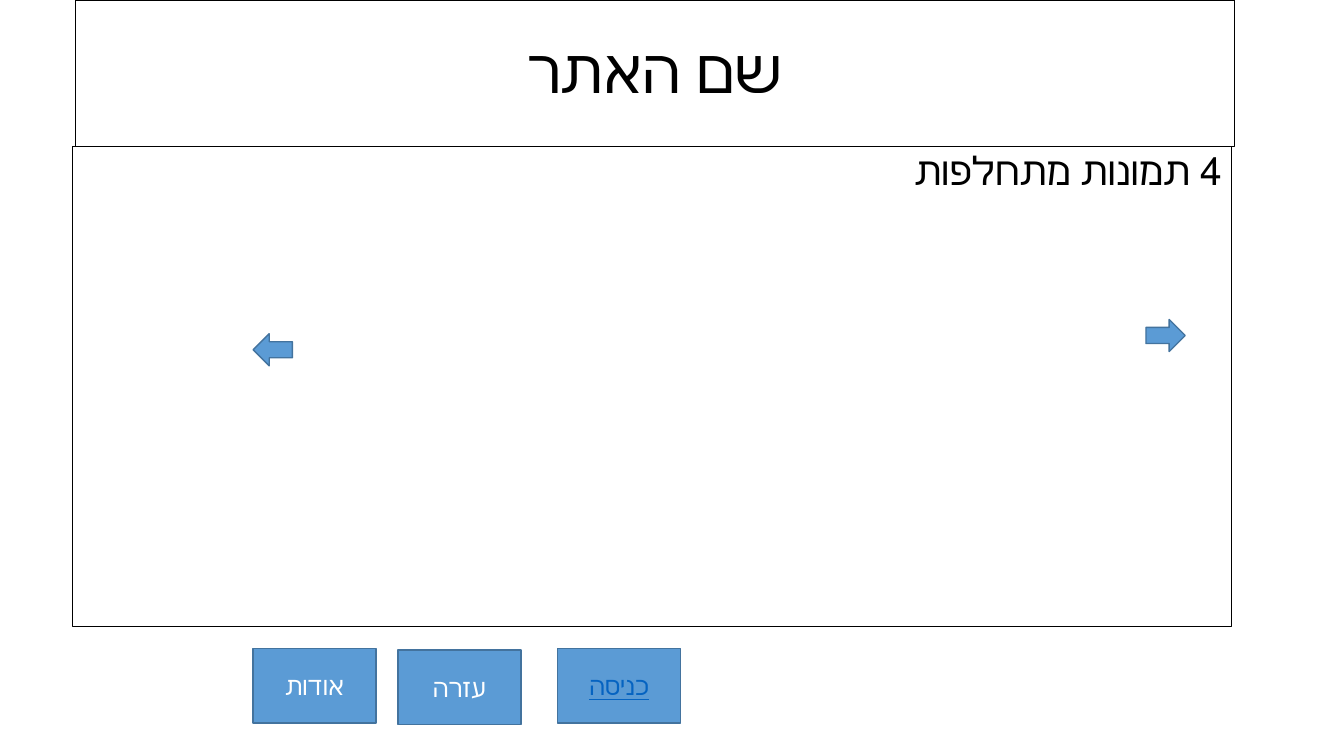
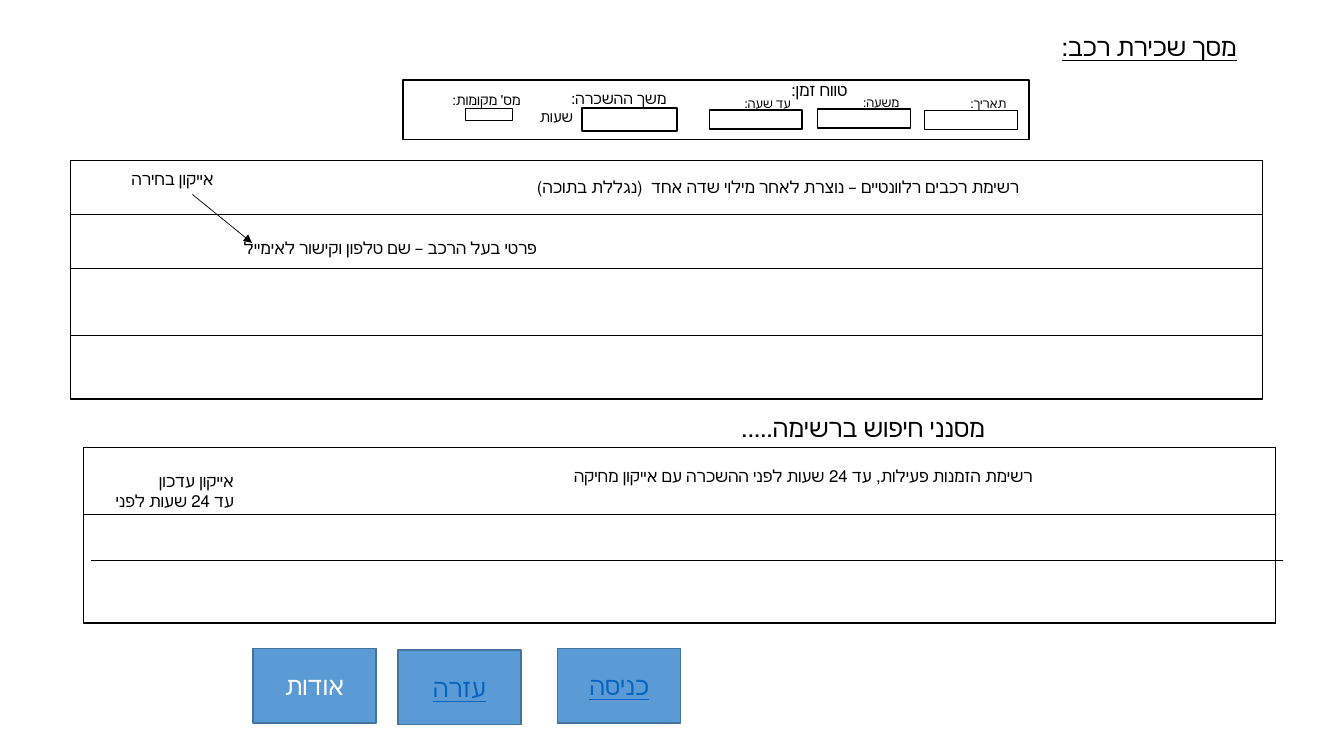
from lxml.etree import SubElement
from pptx import Presentation
from pptx.dml.color import RGBColor
from pptx.enum.shapes import MSO_CONNECTOR as Connector, MSO_SHAPE as Shape
from pptx.enum.text import MSO_ANCHOR as Anchor, MSO_AUTO_SIZE as AutoSize, PP_ALIGN as Align
from pptx.oxml.ns import qn
from pptx.util import Cm, Pt

BLACK = RGBColor(0x00, 0x00, 0x00)
WHITE = RGBColor(0xFF, 0xFF, 0xFF)
BLUE = RGBColor(0x5B, 0x9B, 0xD5)
DARK_BLUE = RGBColor(0x43, 0x73, 0x9E)
LINK_BLUE = RGBColor(0x05, 0x63, 0xC1)
FONT = "Calibri"
LIST_WIDTH = 30.04


def write(box, text, size, color=BLACK, align=Align.RIGHT, anchor=Anchor.TOP, underline=None):
    """Fill a box with right-to-left text, one paragraph per line."""
    frame = box.text_frame
    frame.word_wrap = True
    frame.auto_size = AutoSize.NONE
    frame.vertical_anchor = anchor
    for number, line in enumerate(text.split("\n")):
        para = frame.add_paragraph() if number else frame.paragraphs[0]
        para.alignment = align
        para._p.get_or_add_pPr().set("rtl", "1")
        span = para.add_run()
        span.text = line
        span.font.name = FONT
        span.font.size = Pt(size)
        span.font.color.rgb = color
        span.font.underline = underline
        span._r.get_or_add_rPr().set("lang", "he-IL")


def add_box(page, place, kind=Shape.RECTANGLE, fill=None, line=BLACK):
    box = page.shapes.add_shape(kind, *map(Cm, place))
    box.shadow.inherit = False
    if fill is None:
        box.fill.background()
    else:
        box.fill.solid()
        box.fill.fore_color.rgb = fill
    box.line.color.rgb = line
    box.line.width = Pt(1)
    return box


deck = Presentation()
deck.slide_width, deck.slide_height = Cm(33.87), Cm(19.05)
home = deck.slides.add_slide(deck.slide_layouts[1])
rental = deck.slides.add_slide(deck.slide_layouts[5])

# Home page: site name above the picture carousel
site_name, carousel = home.shapes.title, home.placeholders[1]
for box, left, top, height in ((site_name, 1.9, 0, 3.69), (carousel, 1.83, 3.69, 12.09)):
    box.left, box.top, box.width, box.height = Cm(left), Cm(top), Cm(29.21), Cm(height)
    box.line.color.rgb = BLACK
    box.line.width = Pt(0.75)
write(site_name, "שם האתר", 44, align=Align.CENTER, anchor=Anchor.MIDDLE)
write(carousel, "4 תמונות מתחלפות", 28)
for box in (site_name, carousel):
    box.text_frame.paragraphs[0].line_spacing = 0.9
caption = carousel.text_frame.paragraphs[0]
caption.space_before = Pt(10)
caption_format = caption._p.get_or_add_pPr()
caption_format.set("marL", "0")
caption_format.set("indent", "0")
SubElement(caption_format, qn("a:buNone"))

for kind, left, top in ((Shape.RIGHT_ARROW, 28.88, 8.05), (Shape.LEFT_ARROW, 6.38, 8.41)):
    add_box(home, (left, top, 0.99, 0.81), kind, BLUE, DARK_BLUE)

# Rental page: search fields, vehicle list, active bookings
heading = rental.shapes.title
heading.left, heading.top, heading.width, heading.height = Cm(18.03), Cm(0.66), Cm(13.39), Cm(1.02)
write(heading, "מסך שכירת רכב:", 18, underline=True)

frames = (
    (10.16, 2.02, 15.77, 1.5),          # search panel
    (23.3, 2.78, 2.34, 0.48),           # date
    (20.6, 2.75, 2.34, 0.48),           # from hour
    (17.88, 2.77, 2.33, 0.48),          # until hour
    (14.67, 2.72, 2.39, 0.58),          # duration
    (11.73, 2.74, 1.19, 0.3),           # seats
    (1.78, 4.04, LIST_WIDTH, 6.02),     # vehicles
    (2.11, 11.28, LIST_WIDTH, 4.42),    # bookings
)
for place in frames:
    add_box(rental, place)

row_lines = [(left, top, left + LIST_WIDTH, top) for left, top in (
    (1.78, 5.39), (1.78, 6.75), (1.78, 8.46),
    (2.11, 12.95), (2.29, 14.12), (2.11, 15.7))]
choice_arrow = (4.85, 4.9, 6.35, 6.12)
for ends in row_lines + [choice_arrow]:
    line = rental.shapes.add_connector(Connector.STRAIGHT, *map(Cm, ends))
    line.line.color.rgb = BLACK
    line.line.width = Pt(0.5)
    SubElement(line._element.spPr, qn("a:effectLst"))
    if ends == choice_arrow:
        SubElement(line.line._get_or_add_ln(), qn("a:tailEnd")).set("type", "triangle")

labels = (
    ("טווח זמן:", 12, (17.88, 1.88, 3.73, 0.76)),
    ("תאריך:", 9, (24.11, 2.29, 1.5, 0.64)),
    ("משעה:", 9, (21.41, 2.26, 1.5, 0.64)),
    ("עד שעה:", 9, (18.22, 2.29, 1.96, 0.64)),
    ("משך ההשכרה:", 11, (13.72, 2.11, 3.33, 0.74)),
    ("שעות", 10.5, (12.05, 2.59, 2.64, 0.74)),
    ("מס' מקומות:", 10, (10.47, 2.18, 2.9, 0.69)),
    ("רשימת רכבים רלוונטיים – נוצרת לאחר מילוי שדה אחד  (נגללת בתוכה)", 12,
     (12.92, 4.32, 13.03, 1.8)),
    ("אייקון בחירה", 12, (1.78, 4.12, 3.86, 0.76)),
    ("פרטי בעל הרכב – שם טלפון וקישור לאימייל", 12, (5.64, 5.87, 8.15, 0.76)),
    ("מסנני חיפוש ברשימה.....", 18, (12.04, 10.26, 13.03, 1.02)),
    ("רשימת הזמנות פעילות, עד 24 שעות לפני ההשכרה עם אייקון מחיקה", 12,
     (13.25, 11.62, 13.03, 1.27)),
    ("אייקון עדכון\nעד 24 שעות לפני", 12, (2.29, 11.73, 3.86, 1.27)),
)
for text, size, place in labels:
    write(rental.shapes.add_textbox(*map(Cm, place)), text, size)

# Navigation buttons on both pages
buttons = (("עזרה", 10.03, 16.38), ("אודות", 6.38, 16.34), ("כניסה", 14.05, 16.34))
for page, linked in ((home, ("כניסה",)), (rental, ("כניסה", "עזרה"))):
    for text, left, top in buttons:
        button = add_box(page, (left, top, 3.1, 1.88), fill=BLUE, line=DARK_BLUE)
        is_link = text in linked
        write(button, text, 18, LINK_BLUE if is_link else WHITE, Align.CENTER,
              Anchor.MIDDLE, is_link or None)

deck.save("out.pptx")
